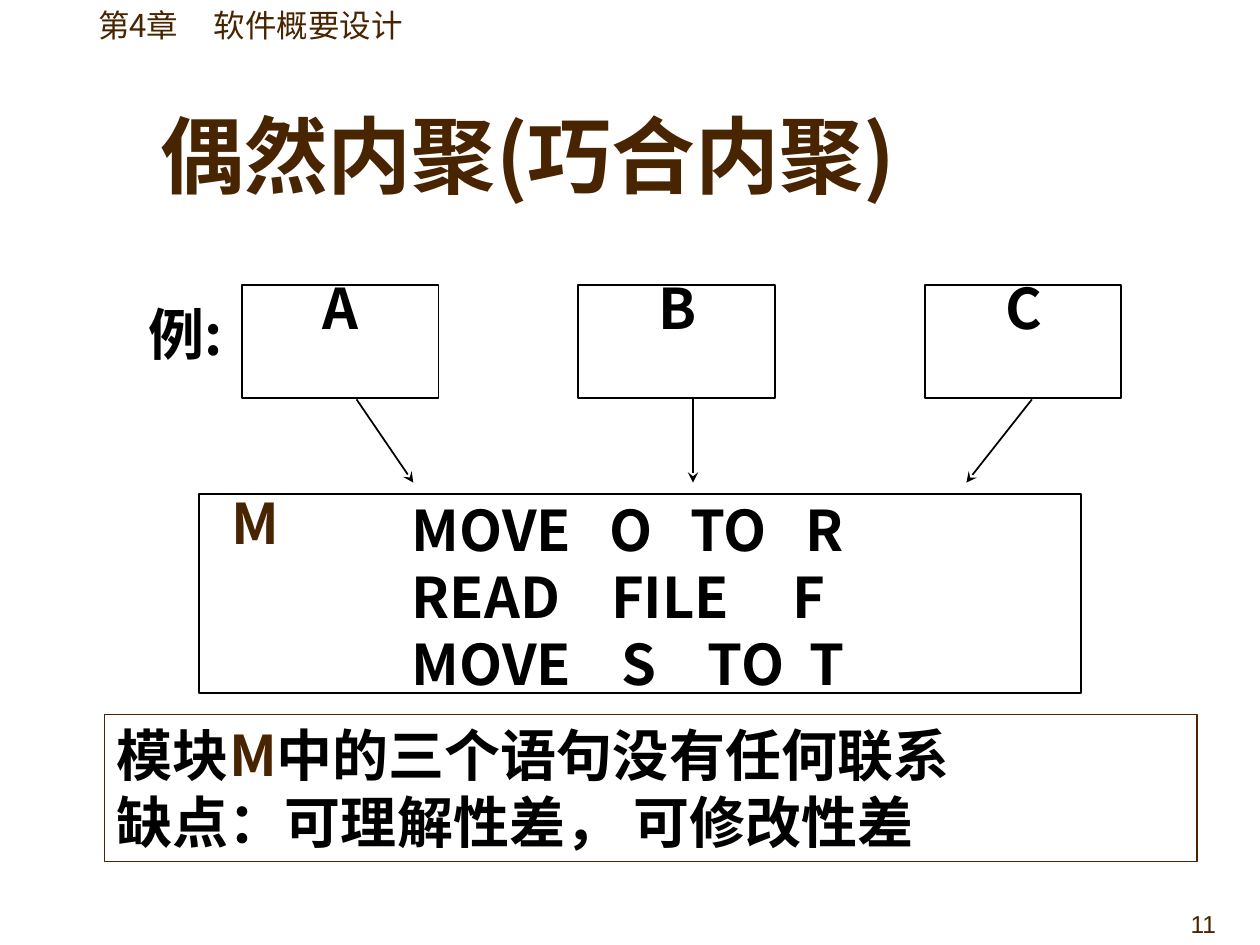
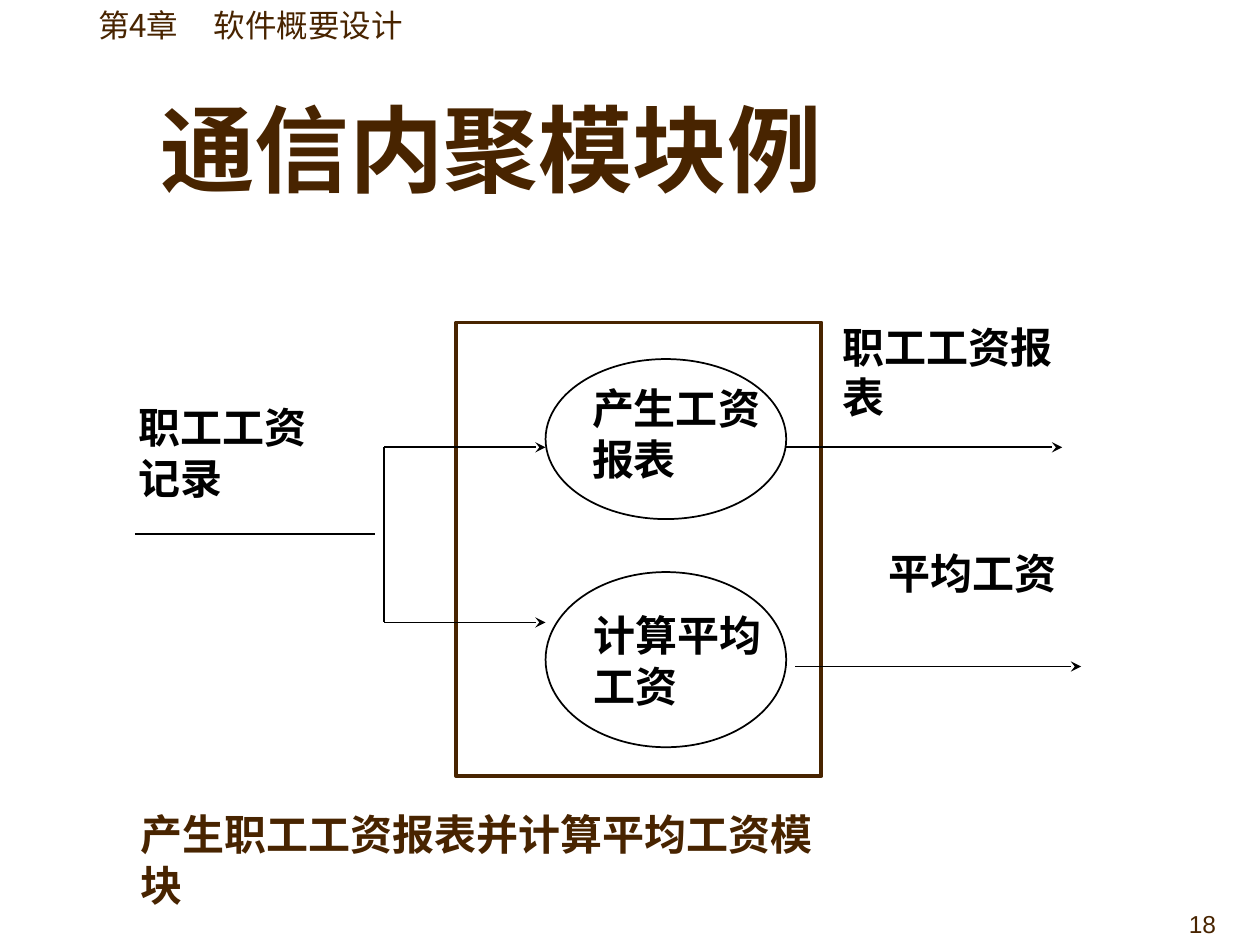
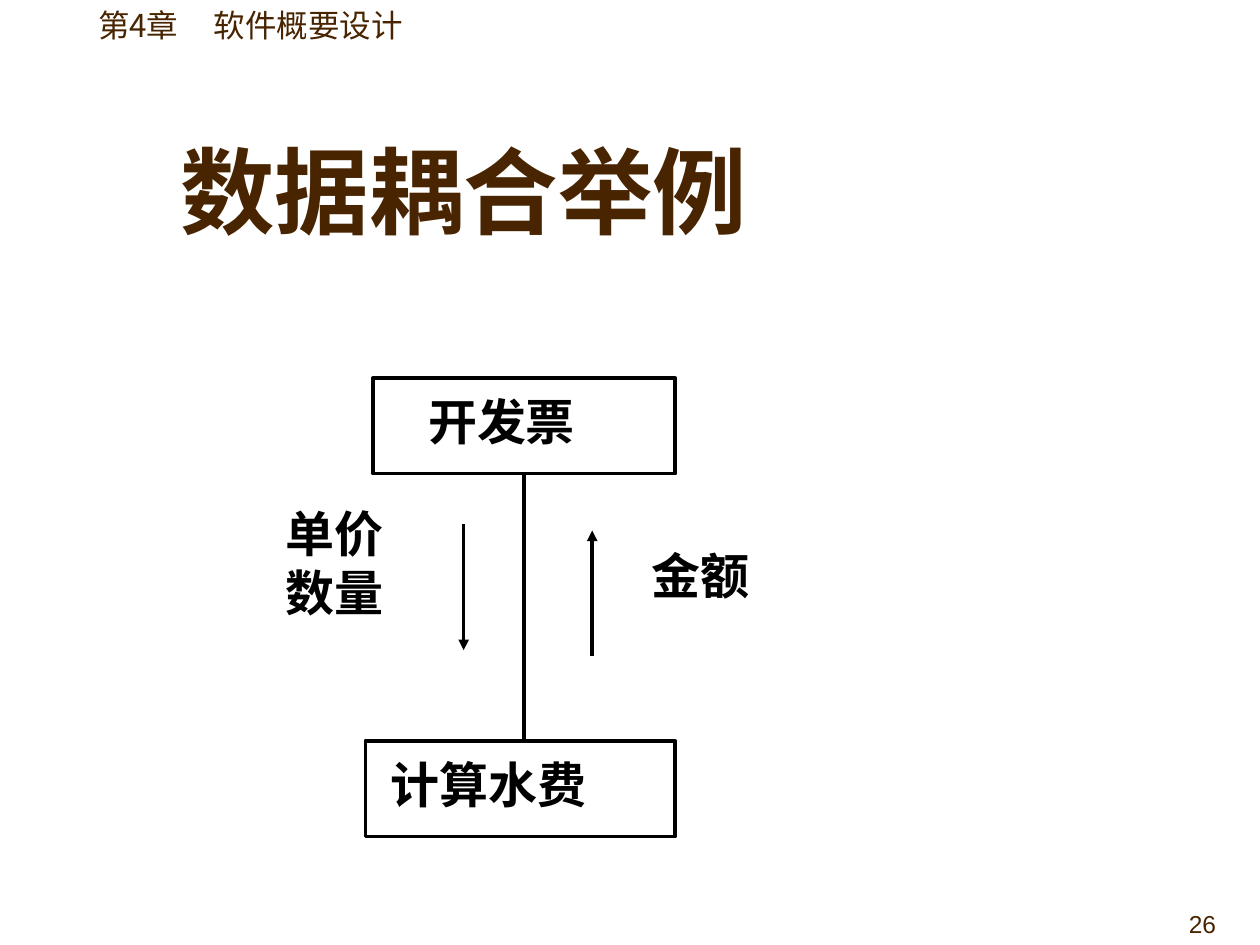
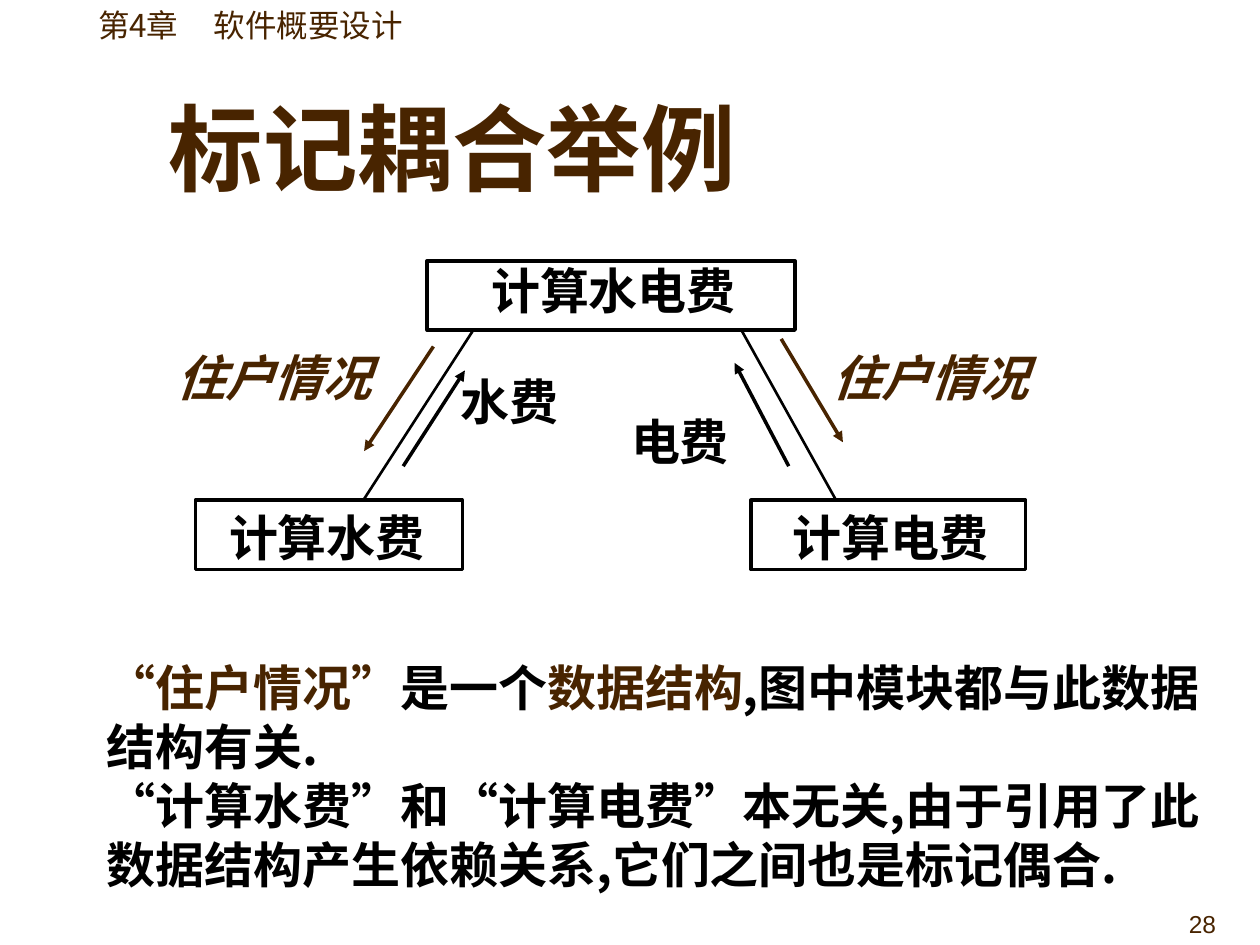
from dataclasses import dataclass

from lxml import etree
from pptx import Presentation
from pptx.dml.color import RGBColor
from pptx.enum.shapes import MSO_CONNECTOR, MSO_SHAPE
from pptx.enum.text import MSO_ANCHOR, MSO_AUTO_SIZE, PP_ALIGN
from pptx.oxml.ns import qn
from pptx.util import Inches, Pt

RECT, ELLIPSE = MSO_SHAPE.RECTANGLE, MSO_SHAPE.OVAL
STRAIGHT = MSO_CONNECTOR.STRAIGHT
TOP, MIDDLE, BOTTOM = MSO_ANCHOR.TOP, MSO_ANCHOR.MIDDLE, MSO_ANCHOR.BOTTOM
LEFT, RIGHT = PP_ALIGN.LEFT, PP_ALIGN.RIGHT
NO_FIT, GROW = MSO_AUTO_SIZE.NONE, MSO_AUTO_SIZE.SHAPE_TO_FIT_TEXT
TITLE_ONLY = 5


@dataclass(frozen=True)
class Theme:
    brown: RGBColor = RGBColor(0x48, 0x24, 0x00)
    black: RGBColor = RGBColor(0, 0, 0)
    white: RGBColor = RGBColor(255, 255, 255)
    cjk: str = "Noto Sans CJK SC"
    serif: str = "Times New Roman"
    sans: str = "Arial"
    title: int = 54
    title_long: int = 48
    large: int = 32
    medium: int = 28
    small: int = 24
    header: int = 18
    number: int = 14


T = Theme()


class Deck:
    """Holds the theme and the slide being drawn."""

    def __init__(self, theme):
        self.t = theme
        self.prs = Presentation()
        self.prs.slide_width, self.prs.slide_height = Inches(10), Inches(7.5)
        self.s = None

    def slide(self, title, number, at, size, anchor):
        self.s = self.prs.slides.add_slide(self.prs.slide_layouts[TITLE_ONLY])
        sp = self.s.shapes.title
        sp.left, sp.top, sp.width, sp.height = map(Inches, at)
        tf = self.frame(sp, anchor=anchor, fit=NO_FIT)
        tf.paragraphs[0].alignment = LEFT
        self.run(tf.paragraphs[0], title, size, self.t.brown)
        self.header()
        self.text((7.67, 7, 2.08, 0.5), [number], self.t.number, self.t.brown,
                  font=self.t.sans, bold=False, align=RIGHT, anchor=BOTTOM, fit=NO_FIT)

    def header(self):
        sp = self.s.shapes.add_textbox(*map(Inches, (0.68, 0, 2.64, 0.4)))
        p = self.frame(sp, wrap=False, anchor=BOTTOM).paragraphs[0]
        tabs = etree.SubElement(p._p.get_or_add_pPr(), qn("a:tabLst"))
        etree.SubElement(tabs, qn("a:tab"), pos=str(Inches(0.92)), algn="l")
        for text, font in (("第4章\t", self.t.cjk), ("软件概要设计", self.t.serif)):
            self.run(p, text, self.t.header, self.t.brown, font, bold=False)

    def frame(self, sp, wrap=True, anchor=TOP, fit=GROW):
        tf = sp.text_frame
        tf.word_wrap, tf.vertical_anchor, tf.auto_size = wrap, anchor, fit
        tf.margin_left = tf.margin_right = Inches(0.1)
        tf.margin_top = tf.margin_bottom = Inches(0.05)
        return tf

    def run(self, p, text, size, color, font=None, bold=True, italic=False):
        r = p.add_run()
        r.text = text
        f = r.font
        f.name, f.size, f.bold = font or self.t.cjk, Pt(size), bold
        f.color.rgb = color
        if italic:
            f.italic = True
        ea = etree.Element(qn("a:ea"), typeface=self.t.cjk)
        r._r.rPr.find(qn("a:latin")).addnext(ea)

    def fill_text(self, tf, paragraphs, size, color, align=LEFT, **style):
        """Each paragraph is a string or a list of (text, colour) runs."""
        for i, runs in enumerate(paragraphs):
            p = tf.add_paragraph() if i else tf.paragraphs[0]
            p.alignment = align
            for text, tint in [(runs, color)] if isinstance(runs, str) else runs:
                self.run(p, text, size, tint, **style)

    def text(self, at, paragraphs, size, color=T.black, wrap=True, anchor=TOP,
             fit=GROW, **style):
        sp = self.s.shapes.add_textbox(*map(Inches, at))
        self.fill_text(self.frame(sp, wrap, anchor, fit), paragraphs, size, color, **style)

    def box(self, at, weight=1, color=T.black, kind=RECT, filled=True):
        sp = self.s.shapes.add_shape(kind, *map(Inches, at))
        sp.shadow.inherit = False
        if filled:
            sp.fill.solid()
            sp.fill.fore_color.rgb = self.t.white
        else:
            sp.fill.background()
        sp.line.color.rgb, sp.line.width = color, Pt(weight)
        return sp

    def line(self, start, end, weight=1, color=T.black, arrow=None):
        c = self.s.shapes.add_connector(STRAIGHT, *map(Inches, (*start, *end)))
        c.line.color.rgb, c.line.width = color, Pt(weight)
        if arrow:
            etree.SubElement(c.line._get_or_add_ln(), qn("a:tailEnd"), type=arrow)
        etree.SubElement(c._element.spPr, qn("a:effectLst"))


def coincidental_cohesion(d):
    d.slide("偶然内聚(巧合内聚)", "11", (1.17, 0.42, 8.5, 1.25), T.title_long, BOTTOM)
    callers = (("A", 1.92, 2.83, 3.28), ("B", 4.59, 5.5, 5.5), ("C", 7.34, 8.19, 7.67))
    for name, left, start, end in callers:
        d.box((left, 2.26, 1.56, 0.9))
        d.text((left + 0.54, 2.12, 0.5, 0.63), [name], T.large, wrap=False)
        d.line((start, 3.17), (end, 3.83), arrow="stealth")
    d.box((1.58, 3.92, 7, 1.58))
    d.text((1.74, 3.83, 0.62, 0.63), ["M"], T.large, T.brown, wrap=False)
    d.text((3.17, 3.88, 5.47, 1.7),
           ["MOVE   O   TO   R", "READ    FILE     F", "MOVE    S    TO  T"], T.large)
    note = d.box((0.83, 5.67, 8.67, 1.17), 0.75, T.brown, filled=False)
    d.fill_text(d.frame(note), [
        [("模块", T.black), ("M", T.brown), ("中的三个语句没有任何联系", T.black)],
        "缺点：可理解性差， 可修改性差",
    ], T.large, T.black)
    d.text((1.08, 2.33, 1.12, 0.63), ["例:"], T.large)


def communicational_cohesion(d):
    d.slide("通信内聚模块例", "18", (1.17, 0.42, 8.5, 1.25), T.title, BOTTOM)
    d.box((3.62, 2.56, 2.9, 3.6), 2.25, T.brown, filled=False)
    for top, height in ((2.85, 1.27), (4.54, 1.39)):
        d.box((4.33, top, 1.91, height), kind=ELLIPSE)
    d.line((1.07, 4.24), (2.98, 4.24))
    d.line((3.05, 3.55), (3.05, 4.94))
    flows = ((3.05, 4.33, 3.55), (3.05, 4.33, 4.94), (6.24, 8.43, 3.55), (6.31, 8.58, 5.29))
    for start, end, y in flows:
        d.line((start, y), (end, y), arrow="stealth")
    labels = (
        ("产生工资报表", (4.6, 2.99, 1.71, 0.9)),
        ("计算平均工资", (4.61, 4.79, 1.56, 0.9)),
        ("职工工资记录", (1, 3.14, 1.84, 0.9)),
        ("职工工资报表", (6.59, 2.5, 1.91, 0.9)),
        ("平均工资", (6.95, 4.3, 1.55, 0.5)),
    )
    for label, at in labels:
        d.text(at, [label], T.small)
    d.text((1.02, 6.37, 5.86, 0.5), ["产生职工工资报表并计算平均工资模块"],
           T.small, T.brown, wrap=False)


def data_coupling(d):
    d.slide("数据耦合举例", "26", (1.33, 1.08, 7.25, 0.85), T.title, MIDDLE)
    modules = (("开发票", 2.96, 3, 2.4, 3.3, 1.37), ("计算水费", 2.9, 5.88, 2.46, 3, 1.76))
    for name, left, top, width, text_left, text_width in modules:
        d.box((left, top, width, 0.76), 2)
        d.text((text_left, top + 0.06, text_width, 0.57), [name], T.medium, wrap=False)
    d.line((4.16, 3.77), (4.16, 5.88), 2)
    d.line((3.68, 4.16), (3.68, 5.16), 2, arrow="triangle")
    d.line((4.7, 5.21), (4.7, 4.21), 2, arrow="triangle")
    d.text((2.17, 3.95, 1.39, 1.04), ["单价", "数量"], T.medium)
    d.text((5.07, 4.28, 1.27, 0.57), ["金额"], T.medium)


def stamp_coupling(d):
    d.slide("标记耦合举例", "28", (1.24, 0.74, 5.96, 0.85), T.title, MIDDLE)
    modules = (
        ("计算水电费", (3.39, 2.07, 2.92, 0.55), (3.8, 2.02, 2.14, 0.57)),
        ("计算水费", (1.55, 3.97, 2.12, 0.55), (1.72, 3.98, 1.76, 0.57)),
        ("计算电费", (5.96, 3.97, 2.18, 0.55), (6.19, 3.98, 1.76, 0.57)),
    )
    for name, outline, label in modules:
        d.box(outline, 2)
        d.text(label, [name], T.medium, wrap=False)
    for start, end in ((3.75, 2.89), (5.89, 6.63)):
        d.line((start, 2.63), (end, 3.96), 1.5)
    flows = (
        ((3.44, 2.75), (2.89, 3.58), T.brown),
        ((3.2, 3.7), (3.69, 2.94), T.black),
        ((6.2, 2.69), (6.69, 3.51), T.brown),
        ((6.26, 3.7), (5.83, 2.88), T.black),
    )
    for start, end, color in flows:
        d.line(start, end, 2, color, "triangle")
    for left, width in ((1.3, 2.27), (6.51, 1.96)):
        d.text((left, 2.71, width, 0.57), ["住户情况"], T.medium, T.brown, italic=True)
    for fee, left, top in (("水费", 3.56, 2.9), ("电费", 4.91, 3.22)):
        d.text((left, top, 1.29, 0.57), [fee], T.medium)
    d.text((0.75, 5.17, 8.98, 1.97), [
        [("“住户情况”", T.brown), ("是一个", T.black), ("数据结构", T.brown),
         (",图中模块都与此数据结构有关.", T.black)],
        "“计算水费”和“计算电费”本无关,由于引用了此数据结构产生依赖关系,它们之间也是标记偶合.",
    ], T.medium)


def main():
    d = Deck(T)
    for build in (coincidental_cohesion, communicational_cohesion,
                  data_coupling, stamp_coupling):
        build(d)
    d.prs.save("out.pptx")


if __name__ == "__main__":
    main()
